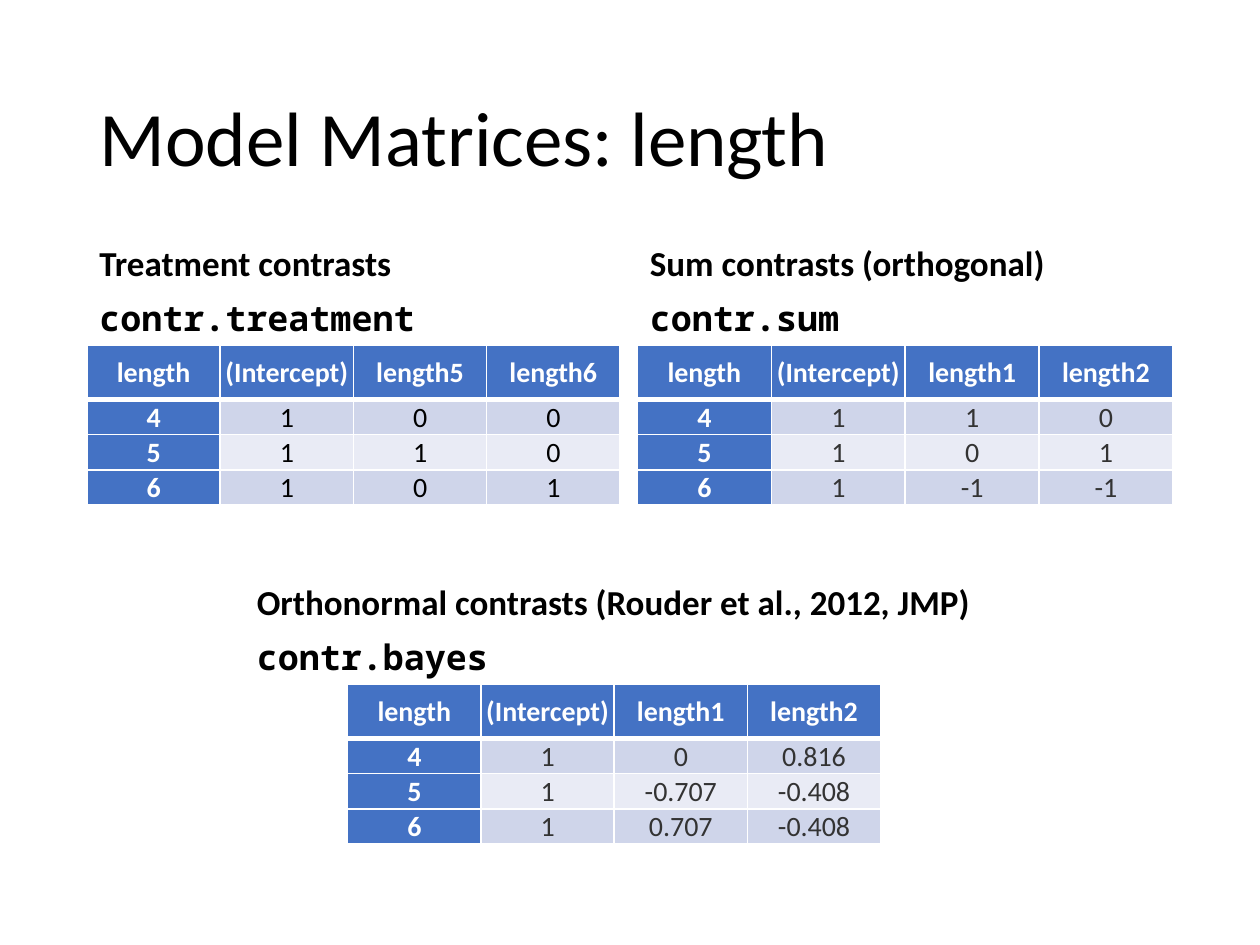
import pptx
import pptx.dml.color
import pptx.enum.text
import pptx.oxml
import pptx.oxml.ns
import pptx.util

Inches = pptx.util.Inches
Pt = pptx.util.Pt
RGBColor = pptx.dml.color.RGBColor
Anchor = pptx.enum.text.MSO_ANCHOR
Align = pptx.enum.text.PP_ALIGN

BLACK = RGBColor(0x00, 0x00, 0x00)
GRAY = RGBColor(0x33, 0x33, 0x33)
WHITE = RGBColor(0xFF, 0xFF, 0xFF)
BLUE = RGBColor(0x44, 0x72, 0xC4)
BANDS = (RGBColor(0xCF, 0xD5, 0xEA), RGBColor(0xE9, 0xEB, 0xF5))
SANS = "Calibri"
MONO = "Noto Sans Mono"
HEADING_HEIGHT = 0.9
HEADER_ROW = 0.43
BODY_ROW = 0.28


def set_font(para, name, size, color, bold=False):
    font = para.font
    font.name, font.size, font.bold = name, Pt(size), bold
    font.color.rgb = color


def add_text(page, left, top, width, height, lines, size, anchor, bold, space):
    box = page.shapes.add_textbox(Inches(left), Inches(top), Inches(width), Inches(height))
    frame = box.text_frame
    frame.word_wrap = True
    frame.vertical_anchor = anchor
    for index, (text, name) in enumerate(lines):
        para = frame.add_paragraph() if index else frame.paragraphs[0]
        para.text = text
        para.line_spacing = 0.9
        para.space_before = Pt(space)
        set_font(para, name, size, BLACK, bold)


def set_borders(cell, bottom):
    properties = cell._tc.get_or_add_tcPr()
    widths = {"lnL": 1, "lnR": 1, "lnT": 1, "lnB": bottom}
    for index, (side, width) in enumerate(widths.items()):
        line = pptx.oxml.parse_xml(
            f'<a:{side} {pptx.oxml.ns.nsdecls("a")} w="{Pt(width)}">'
            f'<a:solidFill><a:srgbClr val="{WHITE}"/></a:solidFill></a:{side}>'
        )
        properties.insert(index, line)


def style_cell(cell, text, fill, color, bold, bottom):
    cell.margin_left = cell.margin_right = cell.margin_top = Inches(0.01)
    cell.margin_bottom = 0
    cell.vertical_anchor = Anchor.MIDDLE
    cell.fill.solid()
    cell.fill.fore_color.rgb = fill
    para = cell.text_frame.paragraphs[0]
    para.text = text
    para.alignment = Align.CENTER
    set_font(para, SANS, 16, color, bold)
    set_borders(cell, bottom)


def add_matrix(page, left, top, width, rows, color):
    height = HEADER_ROW + BODY_ROW * (len(rows) - 1)
    frame = page.shapes.add_table(
        len(rows), len(rows[0]), Inches(left), Inches(top), Inches(width), Inches(height)
    )
    table = frame.table
    table.first_col = True
    for row_index, row in enumerate(rows):
        table.rows[row_index].height = Inches(BODY_ROW if row_index else HEADER_ROW)
        for column_index, text in enumerate(row):
            label = row_index == 0 or column_index == 0
            style_cell(
                table.cell(row_index, column_index),
                text,
                BLUE if label else BANDS[(row_index - 1) % 2],
                WHITE if label else color,
                label,
                1 if row_index else 3,
            )


def add_contrast(page, left, top, width, heading, code, names, values, color,
                 table_offset=0, table_width=None):
    add_text(page, left, top, width, HEADING_HEIGHT,
             [(heading, SANS), (code, MONO)], 20, Anchor.BOTTOM, True, 10)
    rows = [["length", "(Intercept)", *names]]
    rows += [[level, "1", *pair] for level, pair in zip("456", values)]
    add_matrix(page, left + table_offset, top + HEADING_HEIGHT,
               table_width or width, rows, color)


deck = pptx.Presentation()
deck.slide_width, deck.slide_height = Inches(10), Inches(7.5)
page = deck.slides.add_slide(deck.slide_layouts[6])

add_text(page, 0.69, 0.4, 8.62, 1.45, [("Model Matrices: length", SANS)],
         44, Anchor.MIDDLE, False, 0)
add_contrast(page, 0.69, 1.84, 4.23, "Treatment contrasts", "contr.treatment",
             ("length5", "length6"), [("0", "0"), ("1", "0"), ("0", "1")], BLACK)
add_contrast(page, 5.06, 1.84, 4.25, "Sum contrasts (orthogonal)", "contr.sum",
             ("length1", "length2"), [("1", "0"), ("0", "1"), ("-1", "-1")], GRAY)
add_contrast(page, 1.94, 4.53, 5.87, "Orthonormal contrasts (Rouder et al., 2012, JMP)",
             "contr.bayes", ("length1", "length2"),
             [("0", "0.816"), ("-0.707", "-0.408"), ("0.707", "-0.408")], GRAY,
             table_offset=0.82, table_width=4.23)

deck.save("out.pptx")
